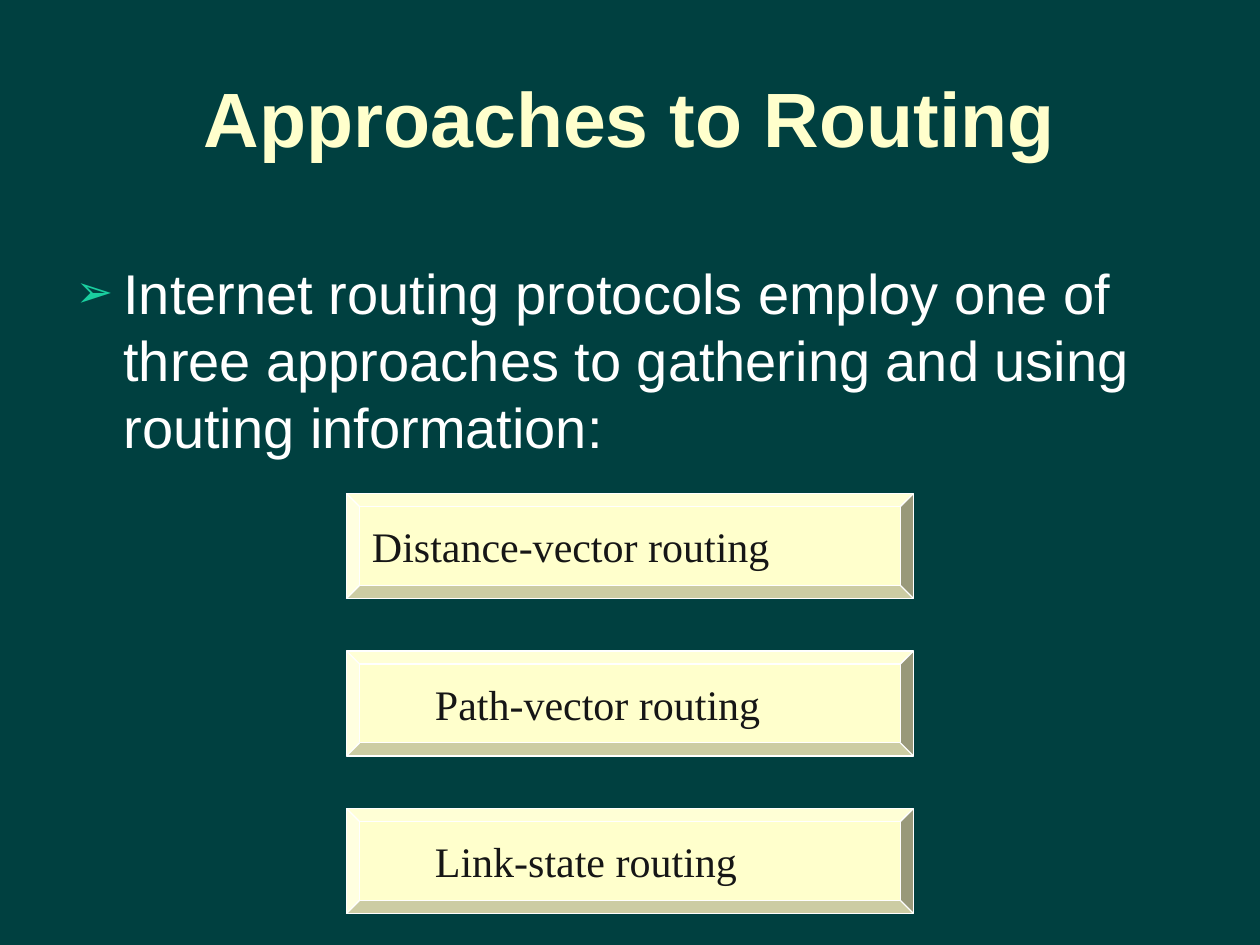
import lxml.etree
import pptx
import pptx.dml.color
import pptx.enum.shapes
import pptx.enum.text
import pptx.oxml.ns
import pptx.util

THEME = {
    "background": "004040", "cream": "FFFFCC", "white": "FFFFFF",
    "ink": "161616", "bullet": "1ACE9F",
    "sans": "Arial", "serif": "Times New Roman",
    "title": 44, "body": 32, "label": 24,
}


def color(name):
    return pptx.dml.color.RGBColor.from_string(THEME[name])


def write(frame, text, face, size, ink, bold=False):
    """Fill a text frame with one formatted paragraph and return it."""
    frame.word_wrap = True
    frame.auto_size = pptx.enum.text.MSO_AUTO_SIZE.NONE
    para = frame.paragraphs[0]
    para.text = text
    para.font.name = THEME[face]
    para.font.size = pptx.util.Pt(THEME[size])
    para.font.color.rgb = color(ink)
    para.font.bold = bold
    return para


deck = pptx.Presentation()
deck.slide_width = pptx.util.Inches(10)
deck.slide_height = pptx.util.Inches(7.5)
unit = deck.slide_width // 120  # grid of 120 columns by 90 rows

page = deck.slides.add_slide(deck.slide_layouts[1])
page.background.fill.solid()
page.background.fill.fore_color.rgb = color("background")

# Title
title = page.shapes.title
title.left, title.top = 6 * unit, round(3.6 * unit)
title.width, title.height = 108 * unit, 15 * unit
title.text_frame.vertical_anchor = pptx.enum.text.MSO_ANCHOR.MIDDLE
para = write(title.text_frame, "Approaches to Routing",
             "sans", "title", "cream", bold=True)
para.alignment = pptx.enum.text.PP_ALIGN.CENTER

# Body with arrow bullet
body = page.placeholders[1]
body.left, body.top = 6 * unit, 24 * unit
body.width, body.height = 108 * unit, 21 * unit
para = write(body.text_frame,
             "Internet routing protocols employ one of three approaches "
             "to gathering and using routing information:",
             "sans", "body", "white")
props = para._p.get_or_add_pPr()
hang = pptx.util.Inches(0.38)
props.set("marL", str(hang))
props.set("indent", str(-hang))
qn = pptx.oxml.ns.qn
bullet_color = lxml.etree.SubElement(props, qn("a:buClr"))
lxml.etree.SubElement(bullet_color, qn("a:srgbClr"), val=THEME["bullet"])
lxml.etree.SubElement(props, qn("a:buSzPct"), val="80000")
lxml.etree.SubElement(props, qn("a:buChar"), char="➢")

# Bevelled boxes, one per approach, evenly stacked
approaches = [
    ("Distance-vector routing", 0),
    ("Path-vector routing", 6),
    ("Link-state routing", 6),
]
for row, (label, indent) in enumerate(approaches):
    box = page.shapes.add_shape(
        pptx.enum.shapes.MSO_SHAPE.BEVEL,
        33 * unit, (47 + 15 * row) * unit, 54 * unit, 10 * unit)
    box.shadow.inherit = False
    box.fill.solid()
    box.fill.fore_color.rgb = color("cream")
    box.line.color.rgb = color("white")
    box.line.width = pptx.util.Pt(0.75)
    para = write(box.text_frame, label, "serif", "label", "ink")
    para.alignment = pptx.enum.text.PP_ALIGN.LEFT
    para._p.get_or_add_pPr().set("marL", str(indent * unit))

deck.save("out.pptx")
